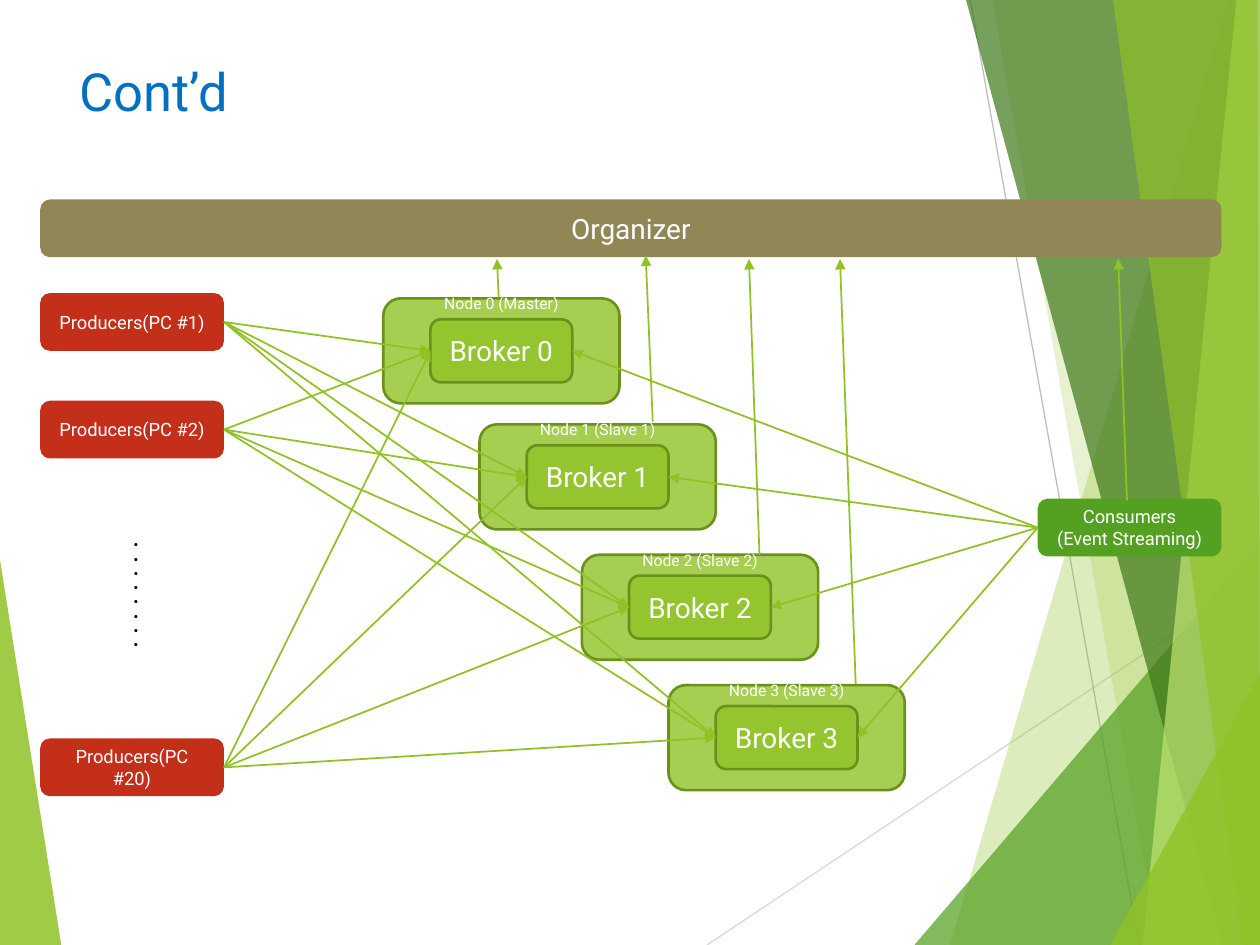
from lxml.etree import SubElement
from pptx import Presentation
from pptx.dml.color import RGBColor
from pptx.enum.shapes import MSO_CONNECTOR, MSO_SHAPE
from pptx.enum.text import MSO_ANCHOR, MSO_AUTO_SIZE, PP_ALIGN
from pptx.oxml.ns import qn
from pptx.util import Pt

FONT = "Roboto"
WHITE = RGBColor(0xFF, 0xFF, 0xFF)
BLACK = RGBColor(0, 0, 0)
BLUE = RGBColor(0x00, 0x70, 0xC0)
LIME = RGBColor(0x90, 0xC2, 0x26)
OLIVE = RGBColor(0x6B, 0x90, 0x1C)
GREEN = RGBColor(0x54, 0xA0, 0x21)
FOREST = RGBColor(0x3F, 0x78, 0x19)
PALE_LIME = RGBColor(0xC0, 0xE4, 0x74)
KHAKI = RGBColor(0x91, 0x86, 0x55)
RED = RGBColor(0xC4, 0x2F, 0x1A)
SILVER = RGBColor(0xD9, 0xD9, 0xD9)
GREY = RGBColor(0xBF, 0xBF, 0xBF)

# Content: lengths in points
TITLE = "Cont’d"
COORDINATOR = "Organizer"
PRODUCERS = [("Producers(PC #1)", 167.5), ("Producers(PC #2)", 229),
             ("Producers(PC #20)", 422)]  # label, top
NODES = [("Node 0 (Master)", "Broker 0", 219, 170.5),
         ("Node 1 (Slave 1)", "Broker 1", 274, 242.5),
         ("Node 2 (Slave 2)", "Broker 2", 332.5, 317),
         ("Node 3 (Slave 3)", "Broker 3", 382, 391.5)]  # labels, left, top
CONSUMER = "Consumers\n(Event Streaming)"
MORE_PRODUCERS = ". . . . . . . ."

LEFT, RIGHT = 23, 698
BOX_WIDTH, BOX_HEIGHT = 105, 33
NODE_WIDTH, NODE_HEIGHT = 135, 60
BROKER_WIDTH, BROKER_HEIGHT = 81, 36
BROKER_DROP = 12

# Arrows up to the coordinator: start, end
REPORTS = [((285, 170), (284, 148)), ((373, 241), (369, 146)),
           ((434, 317), (428, 148)), ((489, 391), (480, 148)),
           ((644, 286), (639, 148))]

# Backdrop: lines, then panes with colour and opacity in percent
BACKDROP_LINES = [((404, 540), (720, 329.5), SILVER),
                  ((554.5, 0), (651, 540), GREY)]
PANES = [
    ([(0, 320), (35, 540), (0, 540)], LIME, 85),
    ([(702, 0), (543, 540), (720, 540), (720, 0)], LIME, 30),
    ([(567, 0), (662, 540), (720, 540), (720, 0)], LIME, 20),
    ([(522.5, 540), (720, 309), (720, 540)], GREEN, 72),
    ([(552, 0), (698.5, 540), (720, 540), (720, 0)], FOREST, 70),
    ([(706.5, 0), (653, 540), (720, 540), (720, 0)], PALE_LIME, 70),
    ([(636, 0), (710, 540), (720, 540), (718.5, 0)], LIME, 65),
    ([(634.5, 540), (720, 385), (720, 540)], LIME, 80),
]


def paint(shape, color, opacity=100):
    shape.shadow.inherit = False
    shape.fill.solid()
    shape.fill.fore_color.rgb = color
    shape.line.fill.background()
    if opacity < 100:
        color_tag = shape._element.spPr.find(qn("a:solidFill"))[0]
        SubElement(color_tag, qn("a:alpha")).set("val", str(opacity * 1000))


def write(shape, text, size, color, align=None):
    frame = shape.text_frame
    frame.word_wrap = True
    frame.text = text
    for para in frame.paragraphs:
        para.alignment = align
        for span in para.runs:
            span.font.name = FONT
            span.font.size = Pt(size)
            span.font.color.rgb = color


def add_box(shapes, text, size, left, top, width, height, color, opacity=100):
    box = shapes.add_shape(MSO_SHAPE.ROUNDED_RECTANGLE,
                           Pt(left), Pt(top), Pt(width), Pt(height))
    paint(box, color, opacity)
    write(box, text, size, WHITE, PP_ALIGN.CENTER)
    box.text_frame.vertical_anchor = MSO_ANCHOR.MIDDLE
    return box


def add_outlined_box(*args):
    box = add_box(*args, LIME, 80)
    box.line.color.rgb = OLIVE
    box.line.width = Pt(1.5)
    return box


def add_line(shapes, start, end, color, width):
    line = shapes.add_connector(MSO_CONNECTOR.STRAIGHT,
                                *map(Pt, start), *map(Pt, end))
    line.line.color.rgb = color
    line.line.width = Pt(width)
    SubElement(line._element.spPr, qn("a:effectLst"))
    return line


def add_arrow(shapes, start=(0, 0), end=(0, 0)):
    arrow = add_line(shapes, start, end, LIME, 1)
    SubElement(arrow.line._get_or_add_ln(), qn("a:tailEnd")).set("type", "triangle")
    return arrow


def join(shapes, source, source_side, target, target_side):
    arrow = add_arrow(shapes)
    arrow.begin_connect(source, source_side)
    arrow.end_connect(target, target_side)


def add_backdrop(shapes):
    for start, end, color in BACKDROP_LINES:
        add_line(shapes, start, end, color, 0.75)
    for points, color, opacity in PANES:
        corners = [(Pt(x), Pt(y)) for x, y in points]
        builder = shapes.build_freeform(*corners[0])
        builder.add_line_segments(corners[1:], close=True)
        paint(builder.convert_to_shape(), color, opacity)


def add_title(title):
    title.left, title.top, title.width, title.height = map(Pt, (40.5, -5, 507.5, 78))
    write(title, TITLE, 30, BLUE, PP_ALIGN.LEFT)
    frame = title.text_frame
    frame.auto_size = MSO_AUTO_SIZE.NONE
    frame.vertical_anchor = MSO_ANCHOR.BOTTOM
    frame.margin_left = frame.margin_right = Pt(5)
    frame.margin_top = frame.margin_bottom = Pt(3)
    frame.paragraphs[0].line_spacing = 0.9


def add_node(shapes, node_label, broker_label, left, top):
    node = add_outlined_box(shapes, node_label, 9, left, top, NODE_WIDTH, NODE_HEIGHT)
    # A deep bottom margin lifts the label to the upper edge
    node.text_frame.margin_top = 0
    node.text_frame.margin_bottom = Pt(54)
    return add_outlined_box(shapes, broker_label, 16,
                            left + (NODE_WIDTH - BROKER_WIDTH) / 2, top + BROKER_DROP,
                            BROKER_WIDTH, BROKER_HEIGHT)


def main():
    deck = Presentation()
    deck.slide_width, deck.slide_height = Pt(720), Pt(540)
    page = deck.slides.add_slide(deck.slide_layouts[5])
    shapes = page.shapes
    add_backdrop(shapes)
    add_title(shapes.title)

    # Boxes
    add_box(shapes, COORDINATOR, 16, LEFT, 114, RIGHT - LEFT, BOX_HEIGHT, KHAKI)
    producers = [add_box(shapes, label, 10.5, LEFT, top, BOX_WIDTH, BOX_HEIGHT, RED)
                 for label, top in PRODUCERS]
    brokers = [add_node(shapes, *node) for node in NODES]
    consumer = add_box(shapes, CONSUMER, 10.5, RIGHT - BOX_WIDTH, 285,
                       BOX_WIDTH, BOX_HEIGHT, GREEN)

    # Arrows
    for broker in brokers:
        for producer in producers:
            join(shapes, producer, 3, broker, 1)
        join(shapes, consumer, 1, broker, 3)
    for start, end in REPORTS:
        add_arrow(shapes, start, end)

    # Dots between the second and the last producer
    dots = shapes.add_textbox(Pt(43), Pt(302.5), Pt(53.5), Pt(79))
    write(dots, MORE_PRODUCERS, 16, BLACK)
    dots.text_frame.auto_size = MSO_AUTO_SIZE.SHAPE_TO_FIT_TEXT
    dots.text_frame._txBody.bodyPr.set("vert", "eaVert")

    deck.save("out.pptx")


if __name__ == "__main__":
    main()
